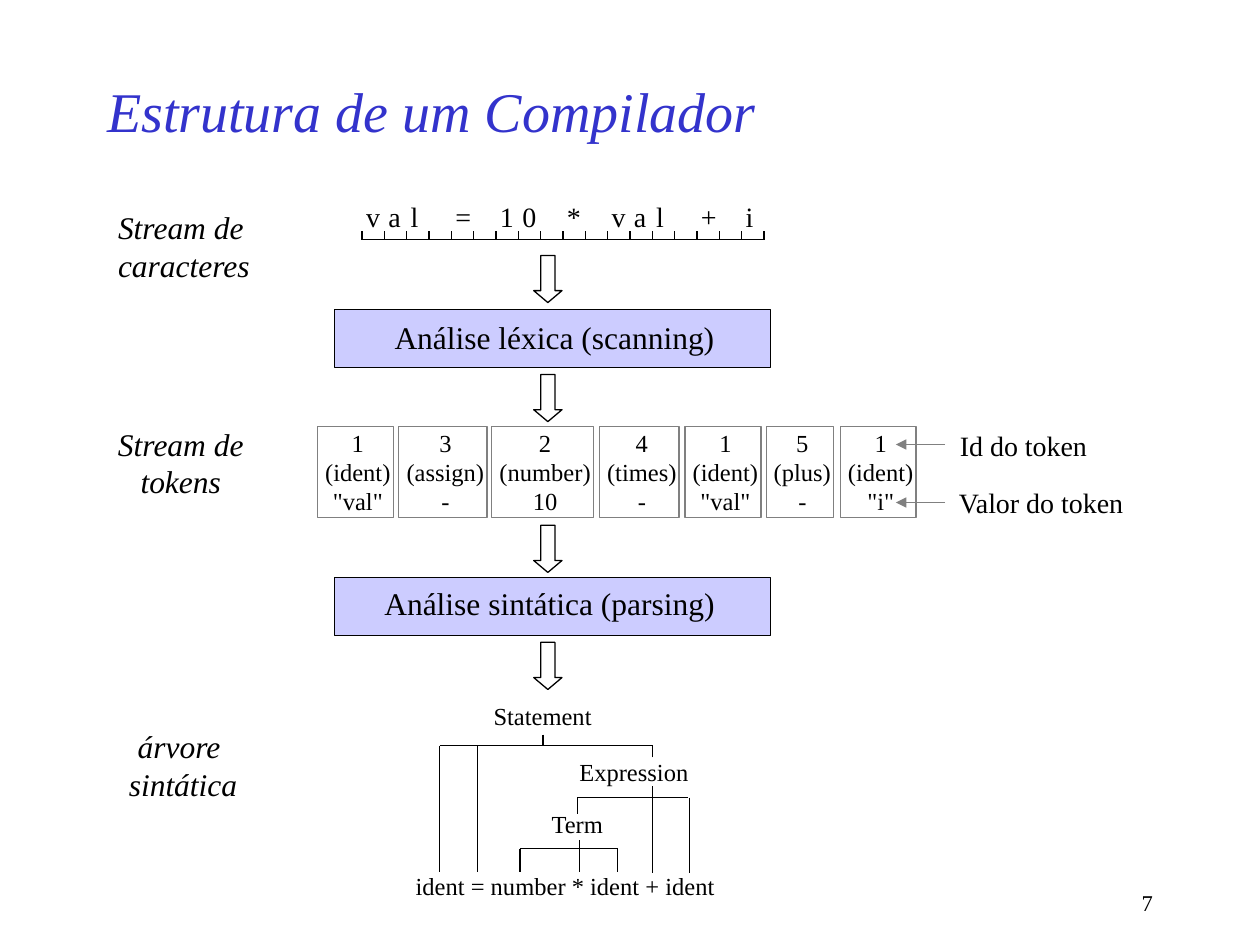
from lxml.etree import SubElement as Sub
from pptx import Presentation
from pptx.dml.color import RGBColor as RGB
from pptx.enum.shapes import MSO_CONNECTOR as Conn, MSO_SHAPE as Kind
from pptx.enum.text import MSO_ANCHOR as Anchor, MSO_AUTO_SIZE as Fit, PP_ALIGN as Align
from pptx.oxml.ns import qn
from pptx.util import Cm, Pt

BLACK = RGB(0x00, 0x00, 0x00)
BLUE = RGB(0x33, 0x33, 0xCC)
LILAC = RGB(0xCC, 0xCC, 0xFF)
GRAY = RGB(0x80, 0x80, 0x80)
SIDES = ("margin_left", "margin_top", "margin_right", "margin_bottom")
INSET = (0.25, 0.13, 0.25, 0.13)


def write(frame, text, size, align=Align.LEFT, italic=False, pad=INSET,
          wrap=False, fit=Fit.SHAPE_TO_FIT_TEXT, anchor=Anchor.TOP, color=BLACK):
    frame.text = text
    look = {"word_wrap": wrap, "auto_size": fit, "vertical_anchor": anchor}
    look.update((side, Cm(gap)) for side, gap in zip(SIDES, pad))
    for name, value in look.items():
        setattr(frame, name, value)
    form = {"name": "Times New Roman", "size": Pt(size), "italic": italic}
    for para in frame.paragraphs:
        para.alignment = align
        for run in para.runs:
            for name, value in form.items():
                setattr(run.font, name, value)
            run.font.color.rgb = color


def link(x1, y1, x2, y2, color=BLACK, head=False):
    line = slide.shapes.add_connector(Conn.STRAIGHT, Cm(x1), Cm(y1), Cm(x2), Cm(y2))
    line.line.color.rgb = color
    line.line.width = Pt(0.75)
    prop = line.element.spPr
    if head:
        Sub(prop.find(qn("a:ln")), qn("a:tailEnd"), type="triangle")
    Sub(prop, qn("a:effectLst"))


deck = Presentation()
deck.slide_width, deck.slide_height = Cm(25.4), Cm(19.05)
slide = deck.slides.add_slide(deck.slide_layouts[5])

title = slide.shapes.title
place = {"left": Cm(1.91), "top": Cm(1.27), "width": Cm(19.05), "height": Cm(1.9)}
for name, value in place.items():
    setattr(title, name, value)
write(title.text_frame, "Estrutura de um Compilador", 32, italic=True, wrap=True,
      fit=Fit.NONE, anchor=Anchor.MIDDLE, color=BLUE)

start, step, base = 7.3, 0.45, 4.83
code = "val = 10 * val + i"
wide = {"a": 0.25, "l": 0.16, "i": 0.16, "=": 0.32, "+": 0.32}
link(start, base, start + step * len(code), base)
for i in range(len(code) + 1):
    link(start + step * i, base, start + step * i, base - 0.18)
for i, char in enumerate(code):
    if char != " ":
        box = slide.shapes.add_textbox(Cm(start + step * i + 0.08), Cm(4.02),
                                       Cm(wide.get(char, 0.28)), Cm(0.69))
        write(box.text_frame, char, 16, pad=(0, 0, 0, 0))

blocks = [(Kind.RECTANGLE, 6.74, top, 8.79, 1.17) for top in (6.24, 11.64)]
blocks += [(Kind.DOWN_ARROW, 10.76, top, 0.57, 0.95) for top in (5.15, 7.55, 10.59, 12.95)]
for kind, *spot in blocks:
    shape = slide.shapes.add_shape(kind, *map(Cm, spot))
    shape.shadow.inherit = False
    shape.line.color.rgb = BLACK
    shape.line.width = Pt(0.75)
    if kind == Kind.DOWN_ARROW:
        shape.fill.background()
        shape.adjustments[1] = 0.42
    else:
        shape.fill.solid()
        shape.fill.fore_color.rgb = LILAC

tokens = [
    (6.4, 1.53, '1\n(ident)\n"val"'),
    (8.04, 1.78, "3\n(assign)\n-"),
    (9.91, 2.06, "2\n(number)\n10"),
    (12.09, 1.6, "4\n(times)\n-"),
    (13.81, 1.53, '1\n(ident)\n"val"'),
    (15.45, 1.35, "5\n(plus)\n-"),
    (16.94, 1.53, '1\n(ident)\n"i"'),
]
for left, width, text in tokens:
    cell = slide.shapes.add_shape(Kind.RECTANGLE, Cm(left), Cm(8.6), Cm(width), Cm(1.83))
    cell.shadow.inherit = False
    cell.fill.background()
    cell.line.color.rgb = GRAY
    cell.line.width = Pt(0.75)
    write(cell.text_frame, text, 14, Align.CENTER, pad=(0.1, 0.02, 0, 0.02))
for y in (8.96, 10.13):
    link(19.05, y, 18.06, y, GRAY, True)

labels = [
    (2.13, 4.06, 3.4, 1.78, "Stream de\ncaracteres", 18, Align.LEFT, True),
    (2.02, 8.43, 3.25, 1.78, "Stream de\ntokens", 18, Align.CENTER, True),
    (2.24, 14.53, 2.9, 1.78, "árvore \nsintática", 18, Align.CENTER, True),
    (7.6, 6.28, 7.16, 1.02, "Análise léxica (scanning)", 18, Align.CENTER, False),
    (7.38, 11.64, 7.4, 1.02, "Análise sintática (parsing)", 18, Align.CENTER, False),
    (19.1, 8.5, 3.3, 0.94, "Id do token", 16, Align.LEFT, False),
    (19.08, 9.65, 4.1, 0.94, "Valor do token", 16, Align.LEFT, False),
    (9.7, 14, 2.7, 0.86, "Statement", 14, Align.LEFT, False),
    (11.43, 15.14, 2.9, 0.86, "Expression", 14, Align.LEFT, False),
    (10.87, 16.18, 1.8, 0.86, "Term", 14, Align.LEFT, False),
    (8.13, 17.42, 6.8, 0.86, "ident = number * ident + ident", 14, Align.LEFT, False),
]
for *spot, text, size, align, italic in labels:
    box = slide.shapes.add_textbox(*map(Cm, spot))
    write(box.text_frame, text, size, align, italic)

tree = [
    (10.95, 14.81, 10.95, 15.03),
    (13.16, 15.03, 8.86, 15.03),
    (8.86, 15.03, 8.86, 17.58),
    (9.63, 15.03, 9.63, 17.58),
    (13.16, 15.27, 13.16, 15.03),
    (13.16, 15.85, 13.16, 17.6),
    (11.64, 16.08, 13.87, 16.08),
    (11.64, 16.08, 11.64, 16.41),
    (13.9, 16.08, 13.9, 17.6),
    (11.68, 16.94, 11.68, 17.58),
    (10.48, 17.11, 12.45, 17.11),
    (10.48, 17.11, 10.48, 17.58),
    (12.45, 17.11, 12.45, 17.58),
]
for ends in tree:
    link(*ends)

page = slide.shapes.add_textbox(Cm(18.21), Cm(17.79), Cm(5.28), Cm(0.84))
write(page.text_frame, "7", 12.9, Align.RIGHT, wrap=True, fit=Fit.NONE)

deck.save("out.pptx")
